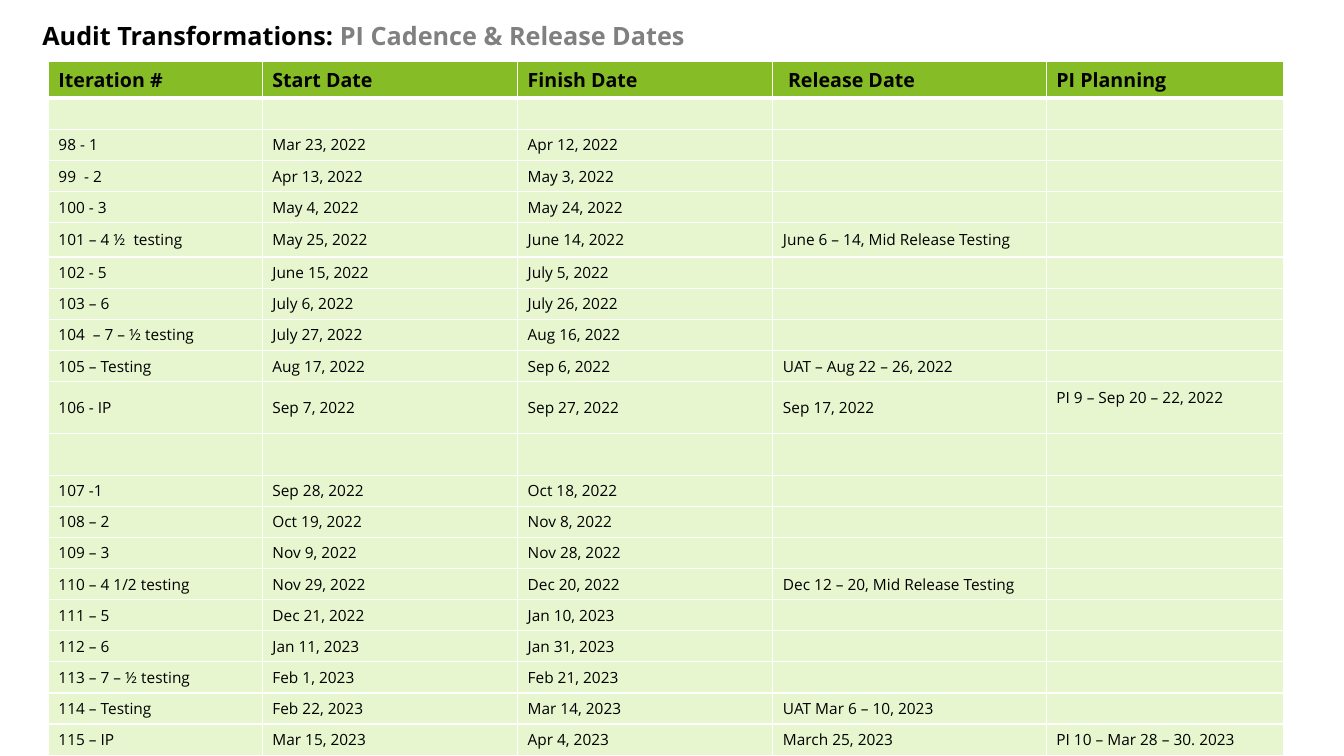
from dataclasses import dataclass

from lxml import etree
from pptx import Presentation
from pptx.dml.color import RGBColor
from pptx.enum.text import MSO_ANCHOR
from pptx.oxml.ns import qn
from pptx.util import Inches, Pt

MIDDLE, TOP = MSO_ANCHOR.MIDDLE, MSO_ANCHOR.TOP


@dataclass(frozen=True)
class Theme:
    font: str = "Open Sans"
    black: str = "000000"
    grey: str = "808080"
    white: str = "FFFFFF"
    green: str = "86BC25"
    pale_green: str = "E8F6CF"
    title_size: int = 18
    header_size: int = 14
    body_size: int = 11


THEME = Theme()

HEADERS = ("Iteration #", "Start Date", "Finish Date", " Release Date", "PI Planning")

# Iteration, start, finish, then release and planning where there are any
ITERATIONS = (
    (),
    ("98 - 1", "Mar 23, 2022", "Apr 12, 2022"),
    ("99  - 2", "Apr 13, 2022", "May 3, 2022"),
    ("100 - 3", "May 4, 2022", "May 24, 2022"),
    ("101 – 4 ½  testing", "May 25, 2022", "June 14, 2022", "June 6 – 14, Mid Release Testing"),
    ("102 - 5", "June 15, 2022", "July 5, 2022"),
    ("103 – 6", "July 6, 2022", "July 26, 2022"),
    ("104  – 7 – ½ testing", "July 27, 2022", "Aug 16, 2022"),
    ("105 – Testing", "Aug 17, 2022", "Sep 6, 2022", "UAT – Aug 22 – 26, 2022"),
    ("106 - IP", "Sep 7, 2022", "Sep 27, 2022", "Sep 17, 2022", "PI 9 – Sep 20 – 22, 2022"),
    (),
    ("107 -1", "Sep 28, 2022", "Oct 18, 2022"),
    ("108 – 2", "Oct 19, 2022", "Nov 8, 2022"),
    ("109 – 3", "Nov 9, 2022", "Nov 28, 2022"),
    ("110 – 4 1/2 testing", "Nov 29, 2022", "Dec 20, 2022", "Dec 12 – 20, Mid Release Testing"),
    ("111 – 5", "Dec 21, 2022", "Jan 10, 2023"),
    ("112 – 6", "Jan 11, 2023", "Jan 31, 2023"),
    ("113 – 7 – ½ testing", "Feb 1, 2023", "Feb 21, 2023"),
    ("114 – Testing", "Feb 22, 2023", "Mar 14, 2023", "UAT Mar 6 – 10, 2023"),
    ("115 – IP", "Mar 15, 2023", "Apr 4, 2023", "March 25, 2023", "PI 10 – Mar 28 – 30. 2023"),
)

COLUMN_WIDTHS = (2.12, 2.53, 2.53, 2.71, 2.35)
ROW_HEIGHT = 0.29
SPECIAL_HEIGHTS = {0: 0.34, 5: 0.34, 6: 0.31, 9: 0.3, 10: 0.48, 11: 0.41}
RAISED_CELL = (10, 4)


def add_span(para, text, size, color, bold=False):
    span = para.add_run()
    span.text = text
    span.font.name = THEME.font
    span.font.size = Pt(size)
    span.font.bold = bold
    span.font.color.rgb = RGBColor.from_string(color)


def set_borders(cell, bottom_width):
    properties = cell._tc.get_or_add_tcPr()
    for side, width in (("L", 1), ("R", 1), ("T", 1), ("B", bottom_width)):
        line = etree.SubElement(properties, qn(f"a:ln{side}"), w=str(Pt(width)))
        fill = etree.SubElement(line, qn("a:solidFill"))
        etree.SubElement(fill, qn("a:srgbClr"), val=THEME.white)


def fill_cell(cell, text, is_header):
    set_borders(cell, 3 if is_header else 1)
    cell.fill.solid()
    cell.fill.fore_color.rgb = RGBColor.from_string(THEME.green if is_header else THEME.pale_green)
    cell.vertical_anchor = TOP if is_header else MIDDLE
    size = THEME.header_size if is_header else THEME.body_size
    para = cell.text_frame.paragraphs[0]
    if text:
        add_span(para, text, size, THEME.black, is_header)
    else:
        # An empty cell still needs a type size, or its row grows
        end = etree.SubElement(para._p, qn("a:endParaRPr"), sz=str(size * 100))
        etree.SubElement(end, qn("a:latin"), typeface=THEME.font)


def add_title(page, left, top, width, height):
    box = page.shapes.add_textbox(Inches(left), Inches(top), Inches(width), Inches(height))
    frame = box.text_frame
    frame.word_wrap = True
    frame.vertical_anchor = MIDDLE
    frame.margin_left = frame.margin_right = frame.margin_top = frame.margin_bottom = 0
    para = frame.paragraphs[0]
    para.line_spacing = 0.9
    add_span(para, "Audit Transformations: ", THEME.title_size, THEME.black, True)
    add_span(para, "PI Cadence & Release Dates", THEME.title_size, THEME.grey, True)


def add_schedule(page, left, top, width, height):
    rows = (HEADERS, *ITERATIONS)
    table = page.shapes.add_table(len(rows), len(HEADERS), Inches(left), Inches(top),
                                  Inches(width), Inches(height)).table
    table.horz_banding = False
    for column, share in zip(table.columns, COLUMN_WIDTHS):
        column.width = Inches(width * share / sum(COLUMN_WIDTHS))
    for r, texts in enumerate(rows):
        table.rows[r].height = Inches(SPECIAL_HEIGHTS.get(r, ROW_HEIGHT))
        for c in range(len(HEADERS)):
            fill_cell(table.cell(r, c), texts[c] if c < len(texts) else "", r == 0)

    # The first planning date sits in the upper half of its taller row
    raised = table.cell(*RAISED_CELL)
    raised.vertical_anchor = TOP
    raised.margin_bottom = Inches(0.26)


def main():
    deck = Presentation()
    deck.slide_width, deck.slide_height = Inches(13.33), Inches(7.5)
    page = deck.slides.add_slide(deck.slide_layouts[6])
    add_schedule(page, 0.48, 0.61, 12.25, 6.57)
    add_title(page, 0.42, 0.19, 12.31, 0.37)
    deck.save("out.pptx")


if __name__ == "__main__":
    main()
